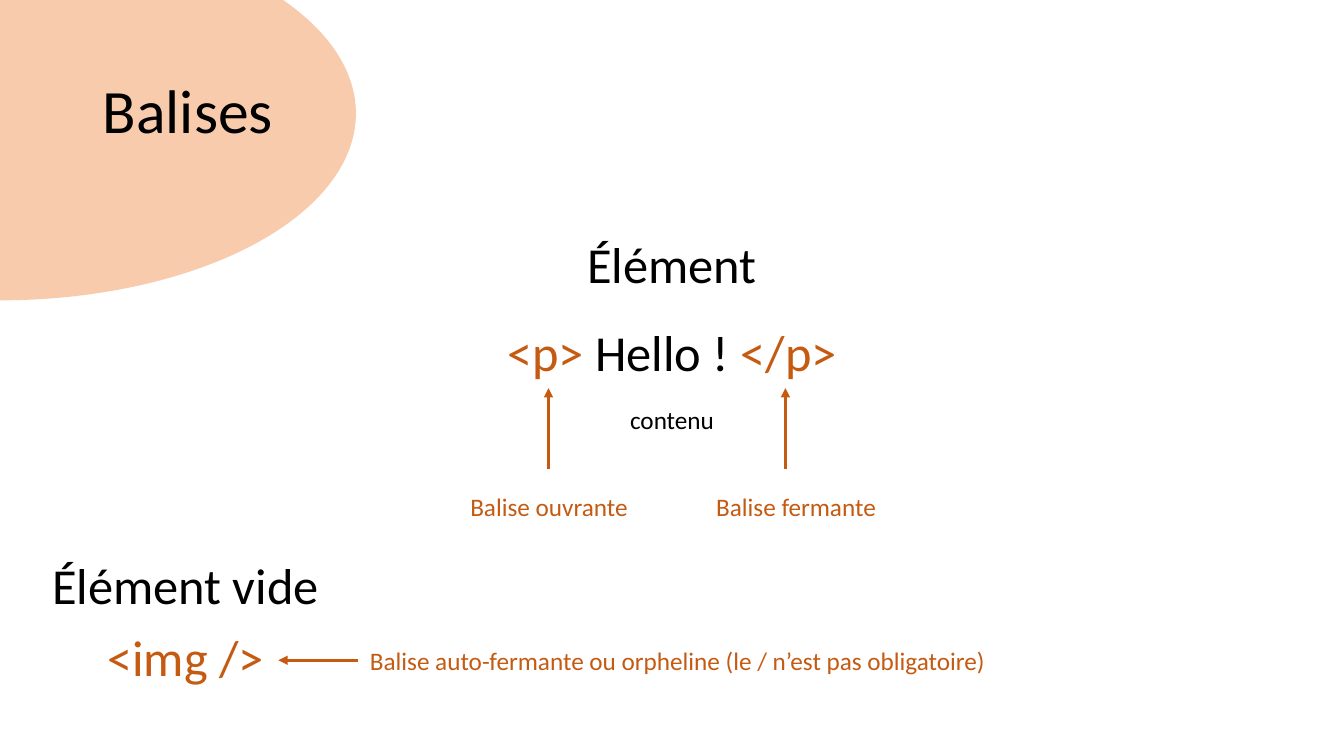
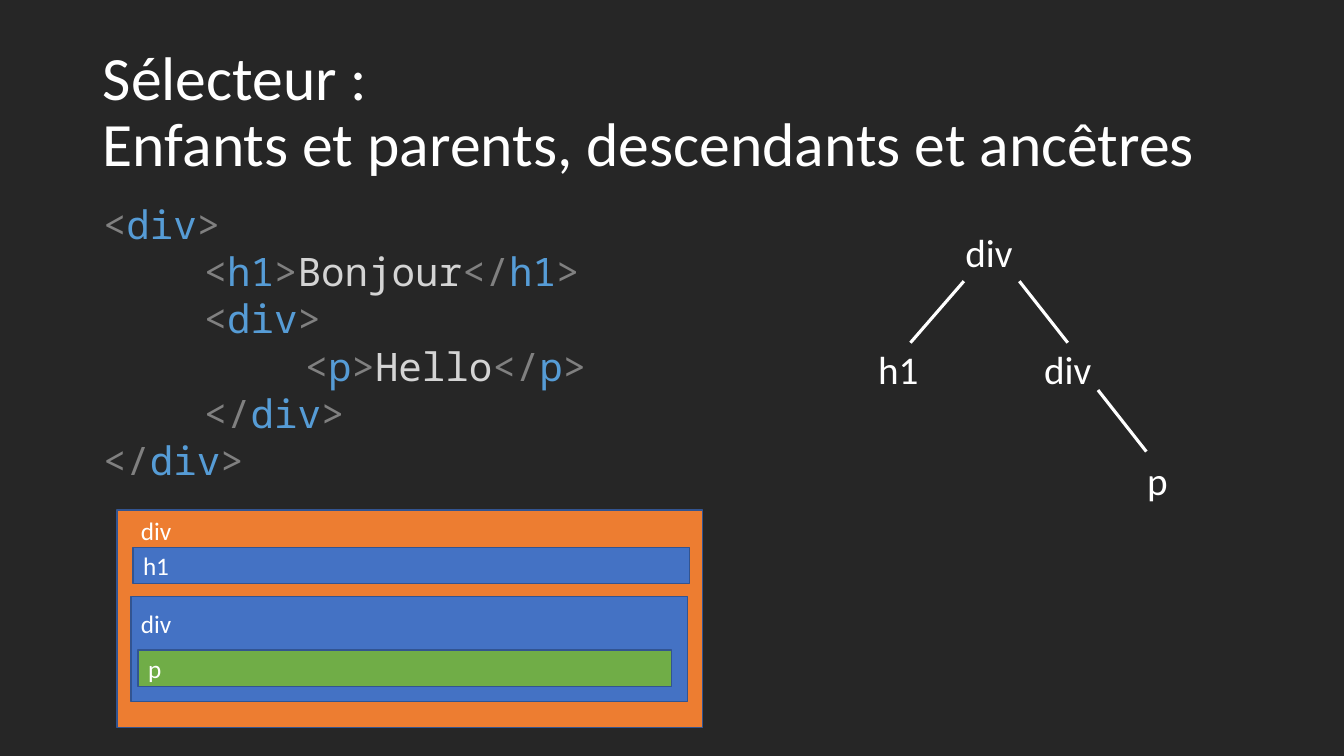
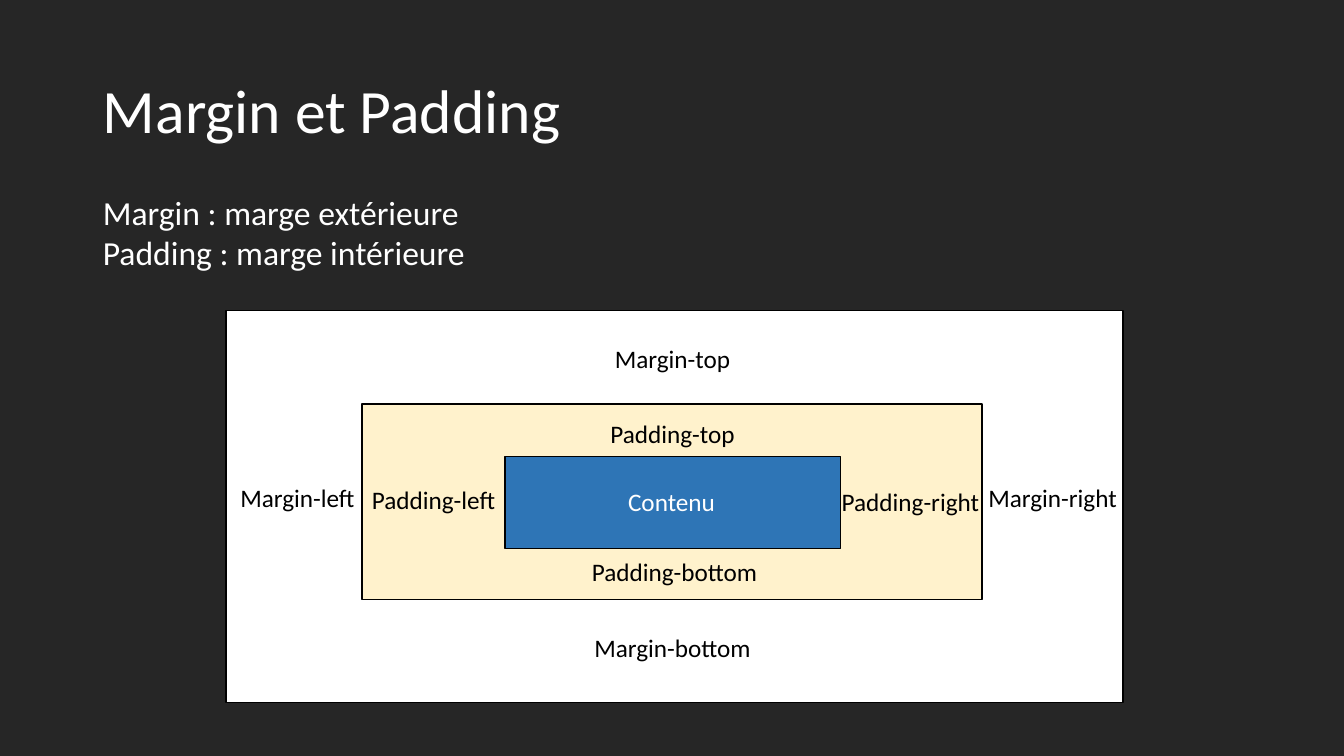
from lxml import etree
from pptx import Presentation
from pptx.dml.color import RGBColor
from pptx.enum import shapes, text
from pptx.oxml.ns import qn
from pptx.util import Inches, Pt

SANS, MONO = "Calibri", "Noto Sans Mono"
BLACK, WHITE, DARK, RUST = "000000", "FFFFFF", "262626", "C55A11"
GREY, BLUE, PALE = "808080", "569CD6", "D4D4D4"
EDGE = "325491"
LEFT, MID = text.PP_ALIGN.LEFT, text.PP_ALIGN.CENTER
RECT, OVAL = shapes.MSO_SHAPE.RECTANGLE, shapes.MSO_SHAPE.OVAL

# Slide 1: (runs, size, box, alignment), then arrows (start, end)
TAGS = [
    ([("<p> ", RUST), ("Hello ! ", BLACK), ("</p>", RUST)], 36, (3.55, 3.14, 6.23, 0.71), MID),
    ([("Élément", BLACK)], 36, (3.55, 2.26, 6.23, 0.71), MID),
    ([("Balise ouvrante", RUST)], 18, (4.32, 4.83, 2.25, 0.4), MID),
    ([("Balise fermante", RUST)], 18, (6.77, 4.83, 2.25, 0.4), MID),
    ([("contenu", BLACK)], 18, (5.97, 3.96, 1.39, 0.4), MID),
    ([("<img />", RUST)], 36, (0.94, 6.16, 1.8, 0.71), MID),
    ([("Élément vide", BLACK)], 36, (0.25, 5.45, 3.18, 0.71), MID),
    ([("Balise auto-fermante ou orpheline (le / n’est pas obligatoire)", RUST)],
     18, (3.57, 6.35, 7.35, 0.4), LEFT),
]
ARROWS = [((5.44, 4.65), (5.44, 3.85)), ((7.79, 4.65), (7.79, 3.85)),
          ((3.55, 6.55), (2.76, 6.55))]

# Slide 2: code as (depth, tokens), tree as (name, centre), nested boxes
CODE = [
    (0, "< div >"),
    (1, "< h1 > Bonjour </ h1 >"),
    (1, "< div >"),
    (2, "< p > Hello </ p >"),
    (1, "</ div >"),
    (0, "</ div >"),
]
TINTS = [GREY, BLUE, GREY, PALE, GREY, BLUE, GREY]
NODES = [("div", 9.81, 2.5), ("h1", 8.91, 3.66), ("div", 10.59, 3.66), ("p", 11.48, 4.76)]
EDGES = [((9.56, 2.79), (9.03, 3.4)), ((10.11, 2.79), (10.59, 3.4)),
         ((10.89, 3.87), (11.37, 4.48))]
NEST = [
    ("", "ED7D31", (1.16, 5.06, 5.81, 2.16)),
    ("h1", "4472C4", (1.32, 5.43, 5.52, 0.36)),
    ("", "4472C4", (1.3, 5.92, 5.52, 1.04)),
    ("p", "70AD47", (1.37, 6.45, 5.29, 0.36)),
]
NAMES = [("div", 5.06), ("div", 5.99)]

# Slide 3: boxes from outside in, labels as (name, centre)
NOTES = ["Margin : marge extérieure", "Padding : marge intérieure"]
MODEL = [
    (WHITE, (2.24, 3.08, 8.9, 3.89)),
    ("FFF2CC", (3.59, 4.01, 6.15, 1.94)),
    ("2E75B6", (5.01, 4.53, 3.33, 0.91)),
]
LABELS = [
    ("Margin-top", 6.67, 3.56), ("Margin-left", 2.95, 4.94),
    ("Margin-right", 10.44, 4.94), ("Margin-bottom", 6.67, 6.42),
    ("Padding-bottom", 6.69, 5.67), ("Padding-top", 6.67, 4.3),
    ("Padding-left", 4.3, 4.96), ("Padding-right", 9.03, 4.98),
    ("Contenu", 6.66, 4.98),
]


def rgb(tint):
    return RGBColor.from_string(tint)


def inch(box):
    return [Inches(n) for n in box]


def place(shape, box):
    shape.left, shape.top, shape.width, shape.height = inch(box)


def write(para, runs, size, font=SANS, align=LEFT):
    """Add (text, colour) runs to a paragraph."""
    para.alignment = align
    for words, tint in runs:
        run = para.add_run()
        run.text = words
        run.font.size, run.font.name = Pt(size), font
        run.font.color.rgb = rgb(tint)


def start(layout, title, back, ink):
    """Add a slide with its background and title."""
    slide = deck.slides.add_slide(deck.slide_layouts[layout])
    fill = slide.background.fill
    fill.solid()
    fill.fore_color.rgb = rgb(back)
    head = slide.shapes.title
    place(head, (0.92, 0.4, 11.5, 1.45))
    frame = head.text_frame
    frame.auto_size = text.MSO_AUTO_SIZE.NONE
    frame.vertical_anchor = text.MSO_ANCHOR.MIDDLE
    para = frame.paragraphs[0]
    para.line_spacing = 0.9
    for i, line in enumerate(title):
        if i:
            para.add_line_break()
        write(para, [(line, ink)], 44)
    return slide


def fill_body(slide, lines, size, font, box):
    """Set (depth, runs) lines in the body, one inch per depth, no bullets."""
    body = slide.placeholders[1]
    place(body, box)
    frame = body.text_frame
    frame.auto_size = text.MSO_AUTO_SIZE.NONE
    for i, (depth, runs) in enumerate(lines):
        para = frame.add_paragraph() if i else frame.paragraphs[0]
        para.line_spacing, para.space_before = 1.0, Pt(0)
        write(para, runs, size, font)
        props = para._p.get_or_add_pPr()
        props.set("marL", str(Inches(depth)))
        props.set("indent", "0")
        etree.SubElement(props, qn("a:buNone"))


def label(slide, runs, size, box, align=MID):
    frame = slide.shapes.add_textbox(*inch(box)).text_frame
    frame.word_wrap = True
    write(frame.paragraphs[0], runs, size, align=align)


def label_at(slide, name, tint, size, x, y, wide, high):
    """Centre a label on a point."""
    label(slide, [(name, tint)], size, (x - wide / 2, y - high / 2, wide, high))


def block(slide, kind, tint, box, edge=None, name=""):
    shape = slide.shapes.add_shape(kind, *inch(box))
    shape.shadow.inherit = False
    shape.fill.solid()
    shape.fill.fore_color.rgb = rgb(tint)
    if edge:
        shape.line.color.rgb = rgb(edge)
        shape.line.width = Pt(1)
    else:
        shape.line.fill.background()
    if name:
        frame = shape.text_frame
        frame.vertical_anchor = text.MSO_ANCHOR.MIDDLE
        write(frame.paragraphs[0], [(name, WHITE)], 18)
    return shape


def join(slide, ends, tint, arrow=False):
    first, last = ends
    link = slide.shapes.add_connector(shapes.MSO_CONNECTOR.STRAIGHT, *inch(first + last))
    link.line.color.rgb = rgb(tint)
    link.line.width = Pt(2.25)
    if arrow:
        etree.SubElement(link.line._get_or_add_ln(), qn("a:tailEnd"), type="triangle")
    etree.SubElement(link._element.spPr, qn("a:effectLst"))


def tags():
    slide = start(5, ["Balises"], WHITE, BLACK)
    oval = block(slide, OVAL, "F8CBAD", (-3.53, -0.73, 7.06, 3.71))
    slide.shapes.title.element.addprevious(oval.element)
    for runs, size, box, align in TAGS:
        label(slide, runs, size, box, align)
    for ends in ARROWS:
        join(slide, ends, RUST, arrow=True)


def tree():
    slide = start(1, ["Sélecteur : ", "Enfants et parents, descendants et ancêtres"], DARK, WHITE)
    lines = [(depth, list(zip(code.split(), TINTS))) for depth, code in CODE]
    fill_body(slide, lines, 28, MONO, (0.92, 1.94, 5.15, 3.4))
    for name, x, y in NODES:
        label_at(slide, name, WHITE, 28, x, y, 1.56, 0.57)
    for ends in EDGES:
        join(slide, ends, WHITE)
    for name, tint, box in NEST:
        block(slide, RECT, tint, box, EDGE, name)
    for name, top in NAMES:
        label(slide, [(name, WHITE)], 18, (1.3, top, 0.86, 0.4), LEFT)


def model():
    slide = start(1, ["Margin et Padding"], DARK, WHITE)
    fill_body(slide, [(0, [(note, WHITE)]) for note in NOTES], 24, SANS, (0.92, 1.85, 11.02, 0.91))
    for tint, box in MODEL:
        block(slide, RECT, tint, box, BLACK)
    for name, x, y in LABELS:
        ink = WHITE if name == "Contenu" else BLACK
        label_at(slide, name, ink, 18, x, y, 1.98, 0.4)


deck = Presentation()
deck.slide_width, deck.slide_height = Inches(13.33), Inches(7.5)
tags()
tree()
model()
deck.save("out.pptx")
